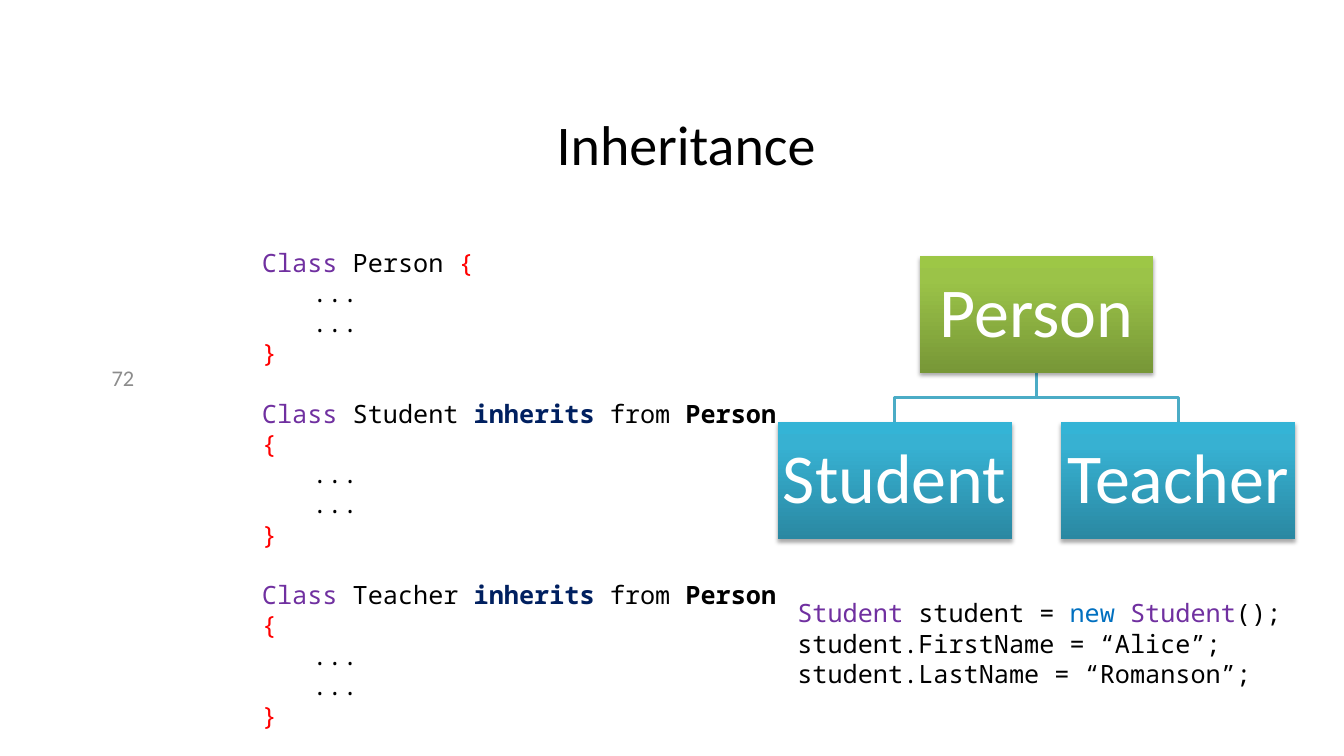
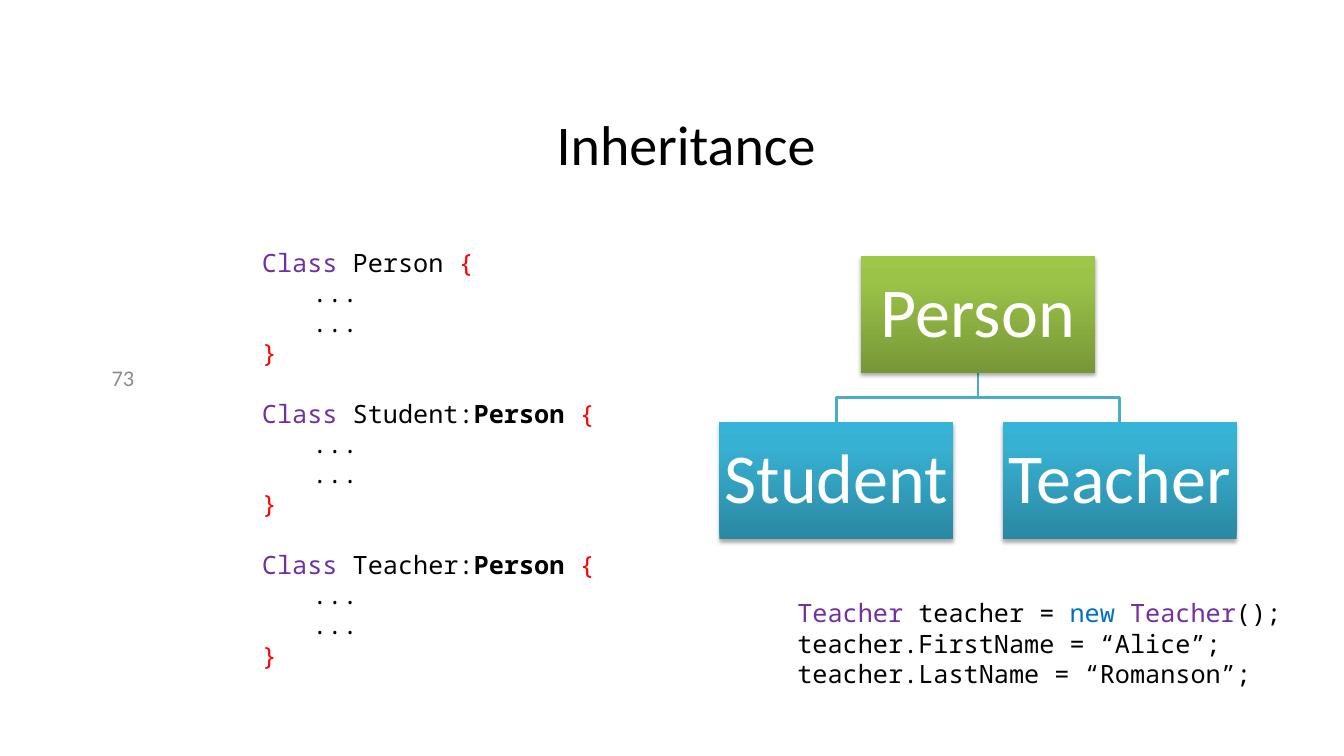
from dataclasses import dataclass, field

from lxml import etree
from pptx import Presentation
from pptx.dml.color import RGBColor
from pptx.enum import shapes, text
from pptx.oxml import ns
from pptx.util import Inches, Pt


@dataclass(frozen=True)
class Theme:
    sans: str = "Calibri"
    mono: str = "Noto Sans Mono"
    title: int = 40
    page: int = 16
    code: int = 18
    node: int = 50
    pitch: float = 21.6
    black: str = "000000"
    white: str = "FFFFFF"
    grey: str = "8C8C8C"
    link: str = "4BACC6"
    green: tuple = ((0, "779737"), (80, "9BC348"), (100, "9DC746"))
    blue: tuple = ((0, "2A88A2"), (80, "37B1D2"), (100, "34B4D6"))
    # Colour and weight of each kind of code word
    words: dict = field(default_factory=lambda: {
        "plain": ("000000", False),
        "type": ("7030A0", False),
        "brace": ("FF0000", False),
        "base": ("000000", True),
        "verb": ("002060", True),
        "new": ("0070C0", False),
    })


class Deck:
    def __init__(self, theme):
        self.theme = theme
        self.prs = Presentation()
        self.prs.slide_width, self.prs.slide_height = Inches(13.33), Inches(7.5)
        self.slide = None

    def font(self, font, size, color, name=None):
        font.name = name or self.theme.sans
        font.size = Pt(size)
        font.color.rgb = RGBColor.from_string(color)

    def start(self, title, page):
        """Add a slide with its title and page number."""
        self.slide = self.prs.slides.add_slide(self.prs.slide_layouts[5])
        head = self.slide.shapes.title
        head.left, head.top = Inches(1.93), Inches(0.4)
        head.width, head.height = Inches(9.75), Inches(1.4)
        frame = head.text_frame
        frame.text = title
        frame.vertical_anchor = text.MSO_ANCHOR.BOTTOM
        para = frame.paragraphs[0]
        para.alignment = text.PP_ALIGN.CENTER
        self.font(para.font, self.theme.title, self.theme.black)

        frame = self.box(0.58, 3.55, 0.85, 0.4)
        frame.vertical_anchor = text.MSO_ANCHOR.MIDDLE
        para = frame.paragraphs[0]
        para.text = str(page)
        para.alignment = text.PP_ALIGN.RIGHT
        self.font(para.font, self.theme.page, self.theme.grey)

    def box(self, x, y, w, h):
        frame = self.slide.shapes.add_textbox(
            Inches(x), Inches(y), Inches(w), Inches(h)).text_frame
        frame.word_wrap = True
        return frame

    def code(self, x, y, w, h, blocks):
        """Write blocks of code, one line apart; a line is a list of (text, kind)."""
        look = self.theme
        frame = self.box(x, y, w, h)
        para = None
        for num, block in enumerate(blocks):
            for row, line in enumerate(block):
                para = frame.add_paragraph() if para else frame.paragraphs[0]
                para.line_spacing = Pt(look.pitch)
                para.space_before = Pt(look.pitch if num and not row else 0)
                if line == DOTS:
                    para._p.get_or_add_pPr().set("marL", str(Inches(0.5)))
                for part, kind in line:
                    run = para.add_run()
                    run.text = part
                    color, run.font.bold = look.words[kind]
                    self.font(run.font, look.code, color, look.mono)

    def link(self, points):
        pts = [(Inches(x), Inches(y)) for x, y in points]
        draw = self.slide.shapes.build_freeform(*pts[0])
        draw.add_line_segments(pts[1:], close=False)
        line = draw.convert_to_shape()
        line.shadow.inherit = False
        line.fill.background()
        line.line.color.rgb = RGBColor.from_string(self.theme.link)
        line.line.width = Pt(2)

    def node(self, mid, y, w, h, label, stops):
        """Draw a shaded box centred on mid, with a soft shadow below."""
        shape = self.slide.shapes.add_shape(
            shapes.MSO_SHAPE.RECTANGLE, Inches(mid - w / 2), Inches(y),
            Inches(w), Inches(h))
        shape.line.fill.background()
        shape.fill.gradient()
        shape.fill.gradient_angle = 90
        props = shape._element.spPr
        ramp = props.find(".//" + ns.qn("a:gsLst"))
        for old in list(ramp):
            ramp.remove(old)
        for pos, color in stops:
            stop = etree.SubElement(ramp, ns.qn("a:gs"), pos=str(pos * 1000))
            etree.SubElement(stop, ns.qn("a:srgbClr"), val=color)
        shape.shadow.inherit = False
        glow = etree.SubElement(
            props.find(ns.qn("a:effectLst")), ns.qn("a:outerShdw"),
            blurRad=str(Pt(3.1)), dist=str(Pt(1.8)), dir="5400000", rotWithShape="0")
        tint = etree.SubElement(glow, ns.qn("a:srgbClr"), val=self.theme.black)
        etree.SubElement(tint, ns.qn("a:alpha"), val="35000")

        frame = shape.text_frame
        frame.margin_left = frame.margin_right = Inches(0.03)
        frame.margin_top = frame.margin_bottom = Inches(0.03)
        frame.vertical_anchor = text.MSO_ANCHOR.MIDDLE
        frame.word_wrap = True
        para = frame.paragraphs[0]
        para.text = label
        para.alignment = text.PP_ALIGN.CENTER
        para.line_spacing = 0.9
        self.font(para.font, self.theme.node, self.theme.white)

    def tree(self, mid, root, kids):
        """Draw a root box above a row of evenly spaced child boxes."""
        top, w, h, gap = 2.54, 2.32, 1.16, 0.49
        base, low = top + h, top + h + gap
        bend = base + gap / 2
        mids = [mid + (n - (len(kids) - 1) / 2) * (w + gap) for n in range(len(kids))]
        for x in reversed(mids):
            self.link([(mid, base), (mid, bend), (x, bend), (x, low)])
        self.node(mid, top, w, h, root, self.theme.green)
        for x, kid in zip(mids, kids):
            self.node(x, low, w, h, kid, self.theme.blue)


DOTS = [("...", "plain")]
ROOT, KIDS = "Person", ("Student", "Teacher")


def define(*head):
    """Lines of one class definition."""
    first = [("Class ", "type"), *head, (" {", "brace")]
    return [first, DOTS, DOTS, [("}", "brace")]]


def create(kind):
    """Lines that make an object and fill it."""
    name = kind.lower()
    return [
        [(kind + " ", "type"), (name + " = ", "plain"), ("new ", "new"),
         (kind, "type"), ("();", "plain")],
        [(name + ".FirstName = “Alice”;", "plain")],
        [(name + ".LastName = “Romanson”;", "plain")],
    ]


def main():
    deck = Deck(Theme())
    # Page, tree centre, code width, words between child and parent, object made
    pages = [
        (72, 10.28, 5.33, [(" ", "plain"), ("inherits ", "verb"), ("from ", "plain")],
         "Student"),
        (73, 9.7, 4.04, [(":", "plain")], "Teacher"),
    ]
    for page, mid, width, joint, made in pages:
        deck.start("Inheritance", page)
        kids = [define((kid, "plain"), *joint, (ROOT, "base")) for kid in KIDS]
        deck.code(2.5, 2.4, width, 4.34, [define((ROOT, "plain")), *kids])
        deck.tree(mid, ROOT, KIDS)
        deck.code(7.81, 5.88, 5.2, 1.3, [create(made)])
    deck.prs.save("out.pptx")


if __name__ == "__main__":
    main()
